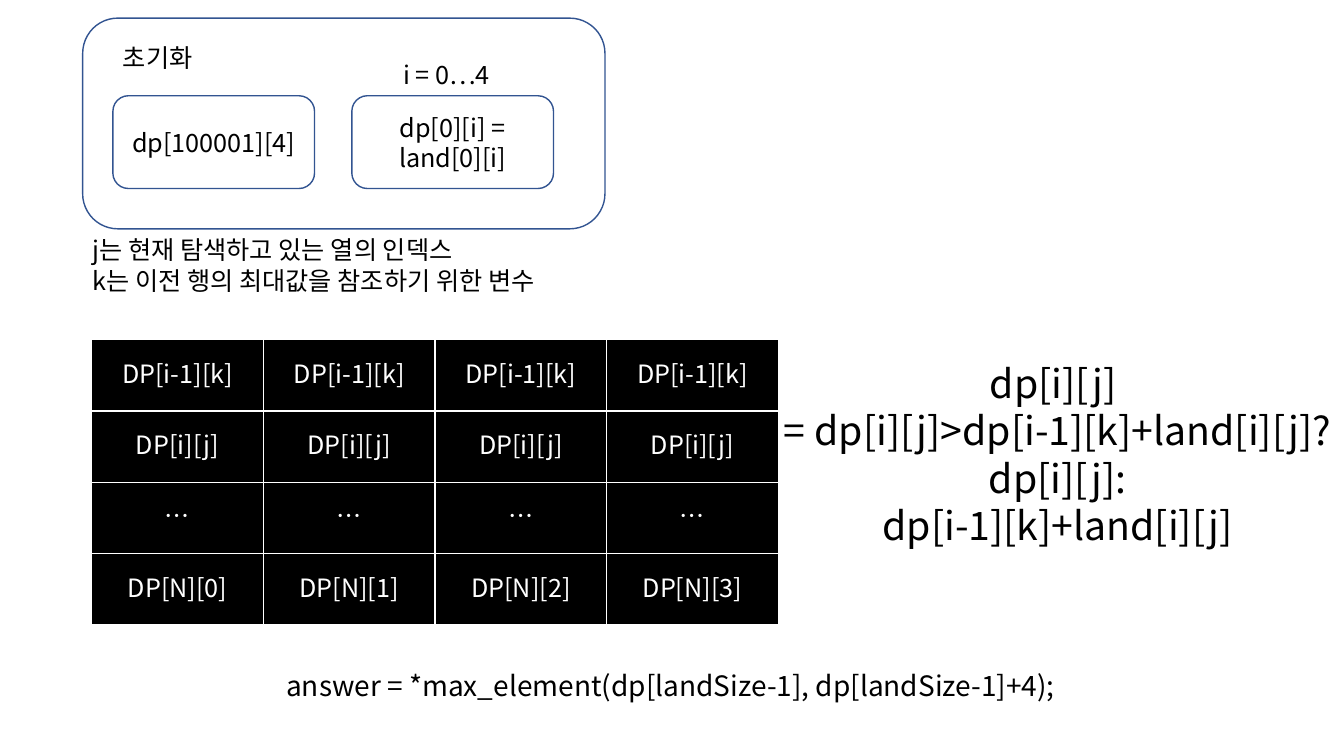
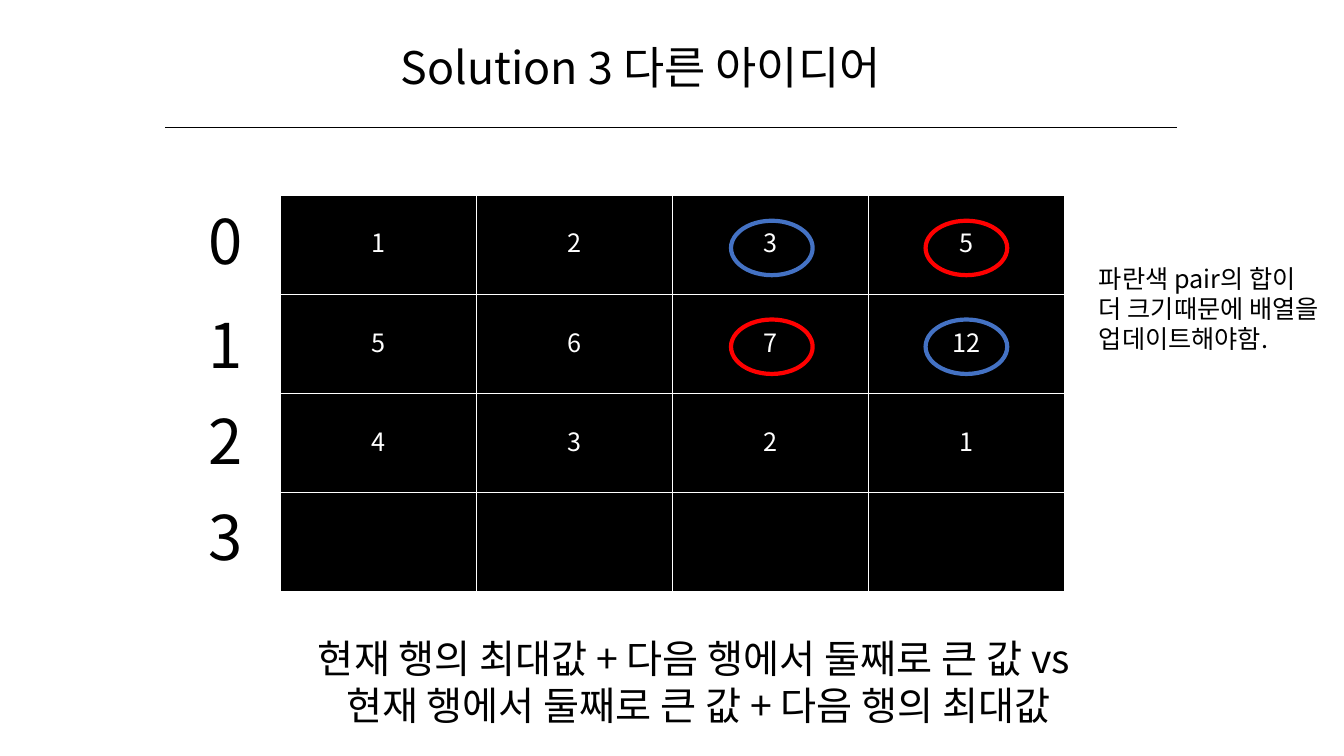
from dataclasses import dataclass

from lxml import etree
from pptx import Presentation
from pptx.dml.color import RGBColor
from pptx.enum.shapes import MSO_CONNECTOR, MSO_SHAPE
from pptx.enum.text import MSO_ANCHOR, PP_ALIGN
from pptx.oxml.ns import qn
from pptx.slide import Slide
from pptx.text.text import TextFrame
from pptx.util import Inches, Pt

BLACK = RGBColor(0x00, 0x00, 0x00)
WHITE = RGBColor(0xFF, 0xFF, 0xFF)
NAVY = RGBColor(0x32, 0x54, 0x91)
BLUE = RGBColor(0x44, 0x72, 0xC4)
RED = RGBColor(0xFF, 0x00, 0x00)

FONT = "Noto Sans CJK KR"
LEFT, MID = PP_ALIGN.LEFT, PP_ALIGN.CENTER
TOP, CENTER = MSO_ANCHOR.TOP, MSO_ANCHOR.MIDDLE
ROUND, OVAL = MSO_SHAPE.ROUNDED_RECTANGLE, MSO_SHAPE.OVAL
STRAIGHT = MSO_CONNECTOR.STRAIGHT


@dataclass
class Box:
    left: float
    top: float
    width: float
    height: float

    def place(self) -> tuple:
        return tuple(map(Inches, (self.left, self.top, self.width, self.height)))


@dataclass
class Note:
    box: Box
    text: str
    size: int = 18
    align: PP_ALIGN = LEFT


@dataclass
class Ring:
    box: Box
    color: RGBColor
    weight: float
    kind: MSO_SHAPE
    text: str = ""


# Shared drawing functions
def style(frame: TextFrame, size: int, color: RGBColor, align: PP_ALIGN) -> None:
    for para in frame.paragraphs:
        para.alignment = align
        para.line_spacing = Pt(1.2 * size)
        for run in para.runs:
            run.font.name = FONT
            run.font.size = Pt(size)
            run.font.color.rgb = color
            east = etree.SubElement(run.font._element, qn("a:ea"))
            east.set("typeface", FONT)


def draw_note(slide: Slide, note: Note) -> None:
    frame = slide.shapes.add_textbox(*note.box.place()).text_frame
    frame.word_wrap = True
    frame.vertical_anchor = TOP
    frame.text = note.text
    style(frame, note.size, BLACK, note.align)


def draw_ring(slide: Slide, ring: Ring) -> None:
    shape = slide.shapes.add_shape(ring.kind, *ring.box.place())
    shape.shadow.inherit = False
    shape.fill.background()
    shape.line.color.rgb = ring.color
    shape.line.width = Pt(ring.weight)
    if ring.text:
        frame = shape.text_frame
        frame.word_wrap = True
        frame.vertical_anchor = CENTER
        frame.text = ring.text
        style(frame, 18, BLACK, MID)


def draw_grid(slide: Slide, box: Box, rows: list[list[str]]) -> None:
    table = slide.shapes.add_table(len(rows), len(rows[0]), *box.place()).table
    table.first_row = table.horz_banding = False
    for r, row in enumerate(rows):
        for c, text in enumerate(row):
            cell = table.cell(r, c)
            cell.vertical_anchor = CENTER
            cell.text = text
            style(cell.text_frame, 18, WHITE, MID)
            props = cell._tc.get_or_add_tcPr()
            for side in ("lnL", "lnR", "lnT", "lnB"):
                edge = etree.SubElement(props, qn(f"a:{side}"), w=str(Pt(1)))
                paint = etree.SubElement(edge, qn("a:solidFill"))
                etree.SubElement(paint, qn("a:srgbClr"), val=str(WHITE))
            cell.fill.solid()
            cell.fill.fore_color.rgb = BLACK


def draw_rule(slide: Slide, left: float, right: float, top: float) -> None:
    rule = slide.shapes.add_connector(
        STRAIGHT, Inches(left), Inches(top), Inches(right), Inches(top))
    rule.line.color.rgb = BLACK
    rule.line.width = Pt(0.5)
    etree.SubElement(rule._element.spPr, qn("a:effectLst"))


deck = Presentation()
deck.slide_width, deck.slide_height = Inches(13.33), Inches(7.5)
blank = deck.slide_layouts[6]

# Slide 1: setup and recurrence
slide = deck.slides.add_slide(blank)
for ring in (
    Ring(Box(0.82, 0.18, 5.18, 2.09), NAVY, 1, ROUND),
    Ring(Box(1.12, 0.95, 2, 0.92), NAVY, 1, ROUND, "dp[100001][4]"),
    Ring(Box(3.49, 0.95, 2, 0.92), NAVY, 1, ROUND, "dp[0][i] = land[0][i]"),
):
    draw_ring(slide, ring)
draw_grid(slide, Box(0.91, 3.37, 6.81, 2.83), [
    ["DP[i-1][k]"] * 4,
    ["DP[i][j]"] * 4,
    ["…"] * 4,
    [f"DP[N][{n}]" for n in range(4)],
])
for note in (
    Note(Box(1.12, 0.37, 1.37, 0.4), "초기화"),
    Note(Box(3.9, 0.54, 1.18, 0.4), "i = 0…4"),
    Note(Box(0.82, 2.28, 6.9, 0.71),
         "j는 현재 탐색하고 있는 열의 인덱스\nk는 이전 행의 최대값을 참조하기 위한 변수"),
    Note(Box(7.42, 3.52, 6.14, 1.99),
         "dp[i][j] \n= dp[i][j]>dp[i-1][k]+land[i][j]?\ndp[i][j]:\ndp[i-1][k]+land[i][j]",
         28, MID),
    Note(Box(2.74, 6.58, 8.29, 0.44),
         "answer = *max_element(dp[landSize-1], dp[landSize-1]+4);", 20),
):
    draw_note(slide, note)

# Slide 2: comparing pairs
slide = deck.slides.add_slide(blank)
draw_rule(slide, 1.64, 11.67, 1.26)
draw_grid(slide, Box(2.78, 1.94, 7.78, 3.93), [
    ["1", "2", "3", "5"],
    ["5", "6", "7", "12"],
    ["4", "3", "2", "1"],
    [""] * 4,
])
for n, top in enumerate((1.96, 3, 3.95, 4.9)):
    draw_note(slide, Note(Box(1.97, top, 0.81, 0.84), str(n), 44))
for row in range(2):
    for col in range(2):
        box = Box(7.25 + 1.93 * col, 2.19 + 0.98 * row, 0.81, 0.54)
        draw_ring(slide, Ring(box, BLUE if row == col else RED, 3, OVAL))
for note in (
    Note(Box(3.58, 0.34, 5.55, 0.64), "Solution 3 다른 아이디어", 32, MID),
    Note(Box(2.37, 6.24, 9.11, 1.04),
         "현재 행의 최대값 + 다음 행에서 둘째로 큰 값 vs \n"
         "현재 행에서 둘째로 큰 값 + 다음 행의 최대값", 28, MID),
    Note(Box(10.8, 2.56, 2.42, 1.01),
         "파란색 pair의 합이 더 크기때문에 배열을 \n업데이트해야함."),
):
    draw_note(slide, note)

deck.save("out.pptx")
